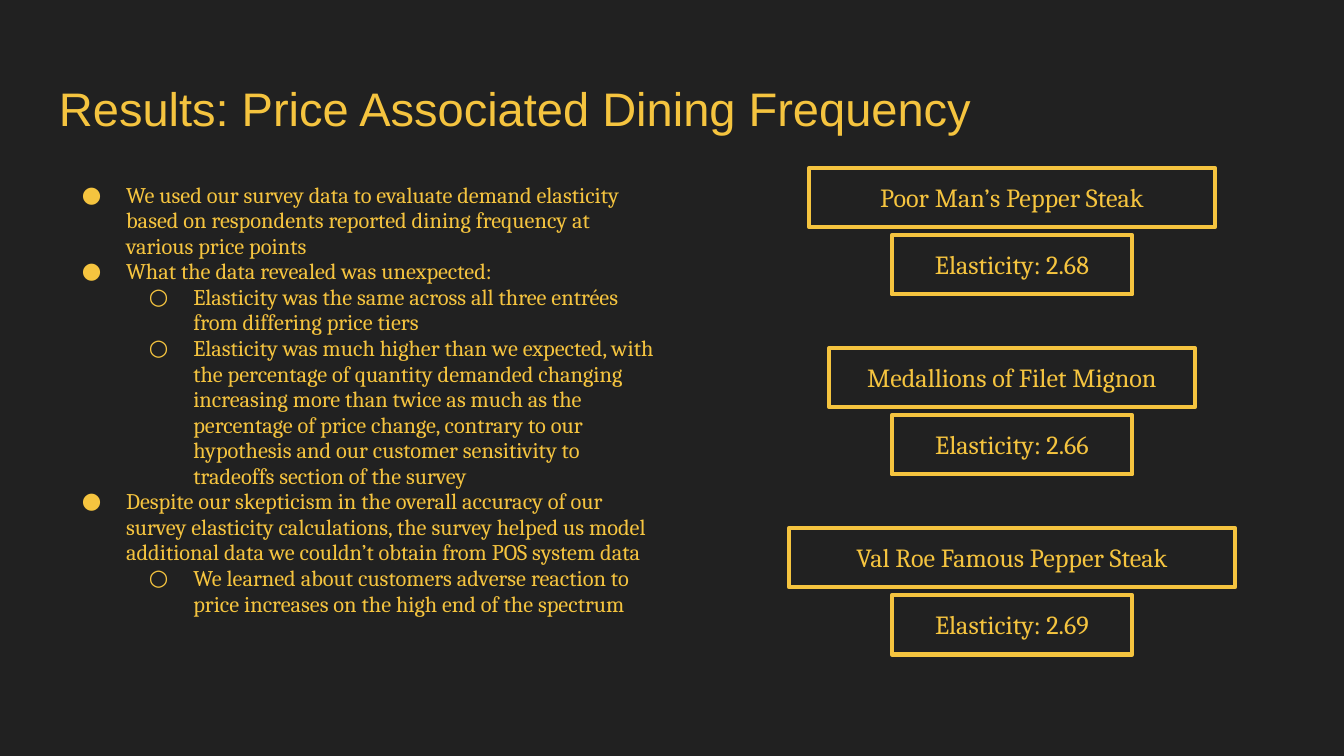
from pptx import Presentation
from pptx.dml.color import RGBColor
from pptx.enum.shapes import MSO_SHAPE as Shape
from pptx.enum.text import MSO_ANCHOR as Anchor, PP_ALIGN as Align
from pptx.oxml.ns import qn
from pptx.util import Inches, Pt
from lxml import etree

GOLD = RGBColor(0xF5, 0xC4, 0x3F)
CHARCOAL = RGBColor(0x21, 0x21, 0x21)

# Content
TITLE = "Results: Price Associated Dining Frequency"
FINDINGS = [  # (level, text)
    (0, "We used our survey data to evaluate demand elasticity based on respondents "
        "reported dining frequency at various price points"),
    (0, "What the data revealed was unexpected:"),
    (1, "Elasticity was the same across all three entrées from differing price tiers"),
    (1, "Elasticity was much higher than we expected, with the percentage of quantity "
        "demanded changing increasing more than twice as much as the percentage of price "
        "change, contrary to our hypothesis and our customer sensitivity to tradeoffs "
        "section of the survey"),
    (0, "Despite our skepticism in the overall accuracy of our survey elasticity "
        "calculations, the survey helped us model additional data we couldn’t obtain "
        "from POS system data"),
    (1, "We learned about customers adverse reaction to price increases on the high end "
        "of the spectrum"),
]
DISHES = [  # (name, elasticity, width of the name box)
    ("Poor Man’s Pepper Steak", "2.68", 3.02),
    ("Medallions of Filet Mignon", "2.66", 2.72),
    ("Val Roe Famous Pepper Steak", "2.69", 3.32),
]

# Layout, in inches
MARGIN = 0.1
DISH_CENTER, DISH_TOP, DISH_STEP = 7.53, 1.25, 1.34
BOX_HEIGHT, VALUE_WIDTH, VALUE_OFFSET = 0.44, 1.79, 0.5


def prepare_frame(shape):
    frame = shape.text_frame
    frame.word_wrap = True
    frame.margin_left = frame.margin_right = Inches(MARGIN)
    frame.margin_top = frame.margin_bottom = Inches(MARGIN)
    return frame


def style_runs(paragraph, font_name, size):
    for run in paragraph.runs:
        run.font.name = font_name
        run.font.size = Pt(size)
        run.font.color.rgb = GOLD


def add_bullet(paragraph, level):
    properties = paragraph._p.get_or_add_pPr()
    properties.set("marL", str(Inches(0.5 * (level + 1))))
    properties.set("indent", str(Inches(-0.33)))
    color = etree.SubElement(properties, qn("a:buClr"))
    etree.SubElement(color, qn("a:srgbClr"), val=str(GOLD))
    etree.SubElement(properties, qn("a:buFont"), typeface="Cambria")
    etree.SubElement(properties, qn("a:buChar"), char="●○"[level])


def add_label(slide, text, top, width):
    shape = slide.shapes.add_shape(
        Shape.RECTANGLE, Inches(DISH_CENTER - width / 2), Inches(top),
        Inches(width), Inches(BOX_HEIGHT))
    shape.shadow.inherit = False
    shape.fill.background()
    shape.line.color.rgb = GOLD
    shape.line.width = Pt(2.25)
    frame = prepare_frame(shape)
    frame.vertical_anchor = Anchor.TOP
    frame.text = text
    frame.paragraphs[0].alignment = Align.CENTER
    style_runs(frame.paragraphs[0], "Cambria", 14)


# Widescreen slide, 16:9
presentation = Presentation()
presentation.slide_width = Inches(10)
presentation.slide_height = Inches(10 * 9 / 16)
slide = presentation.slides.add_slide(presentation.slide_layouts[6])
slide.background.fill.solid()
slide.background.fill.fore_color.rgb = CHARCOAL

# Title
title = slide.shapes.add_textbox(Inches(0.34), Inches(0.49), Inches(9.32), Inches(0.63))
title_frame = prepare_frame(title)
title_frame.text = TITLE
style_runs(title_frame.paragraphs[0], "Arial", 25.2)

# Findings
findings = slide.shapes.add_textbox(Inches(0.34), Inches(1.26), Inches(4.66), Inches(4))
findings_frame = prepare_frame(findings)
findings_frame.text = "\n".join(text for _, text in FINDINGS)
for paragraph, (level, _) in zip(findings_frame.paragraphs, FINDINGS):
    paragraph.level = level
    add_bullet(paragraph, level)
    paragraph.line_spacing = 0.95
    style_runs(paragraph, "Cambria", 12)

# Dishes, each with its elasticity below
for index, (name, elasticity, width) in enumerate(DISHES):
    top = DISH_TOP + index * DISH_STEP
    add_label(slide, f"Elasticity: {elasticity}", top + VALUE_OFFSET, VALUE_WIDTH)
    add_label(slide, name, top, width)

presentation.save("out.pptx")
